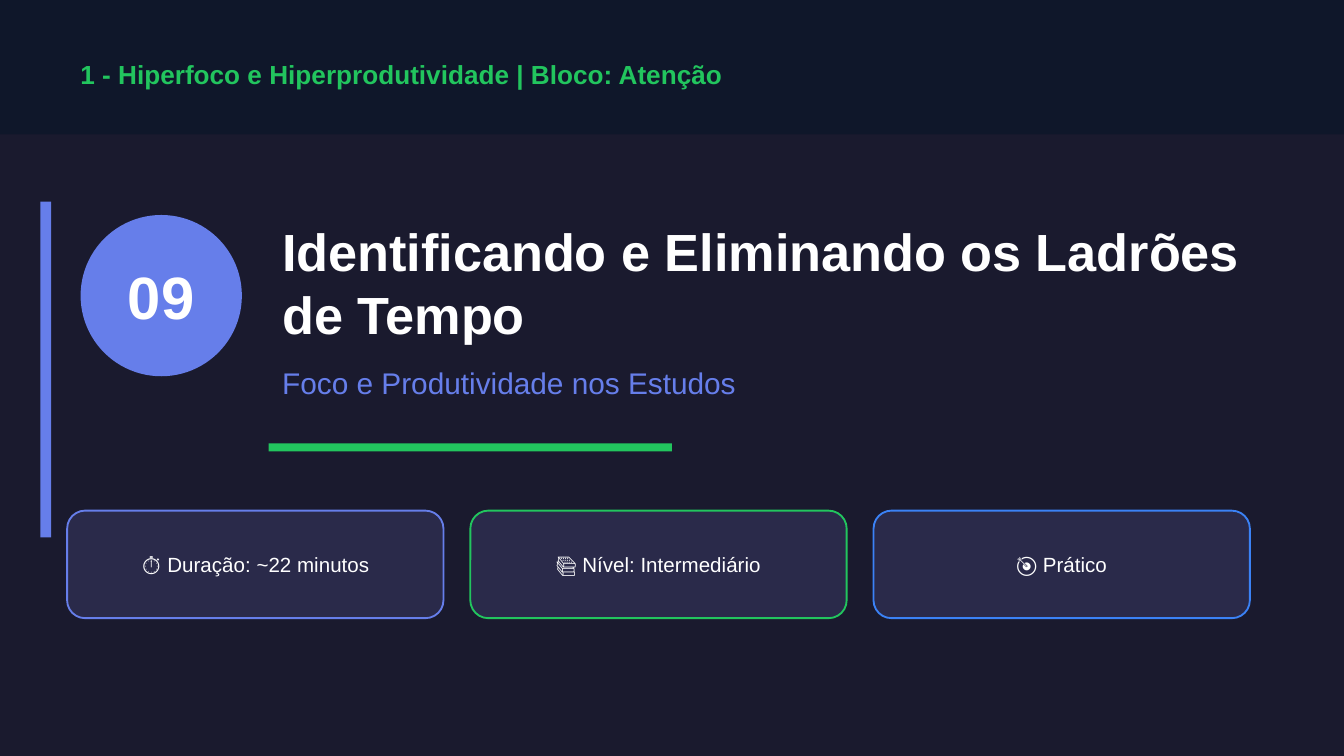
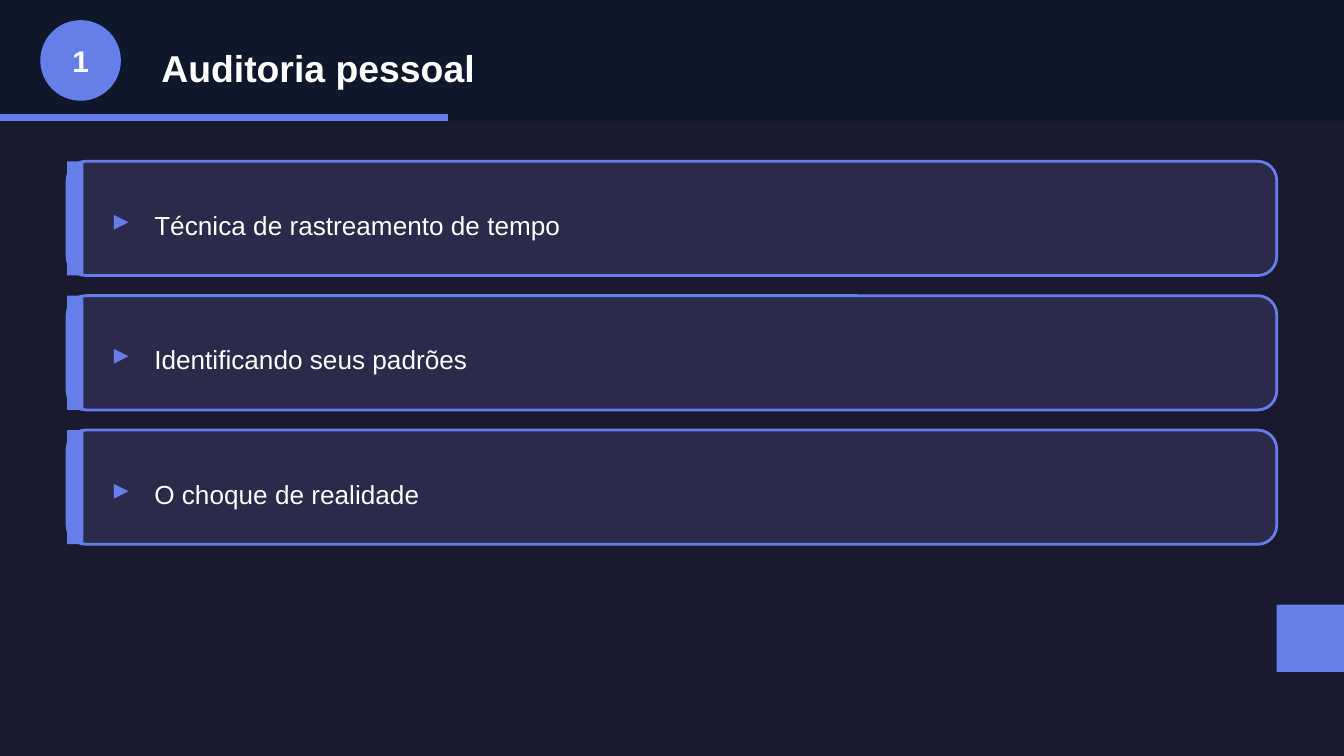
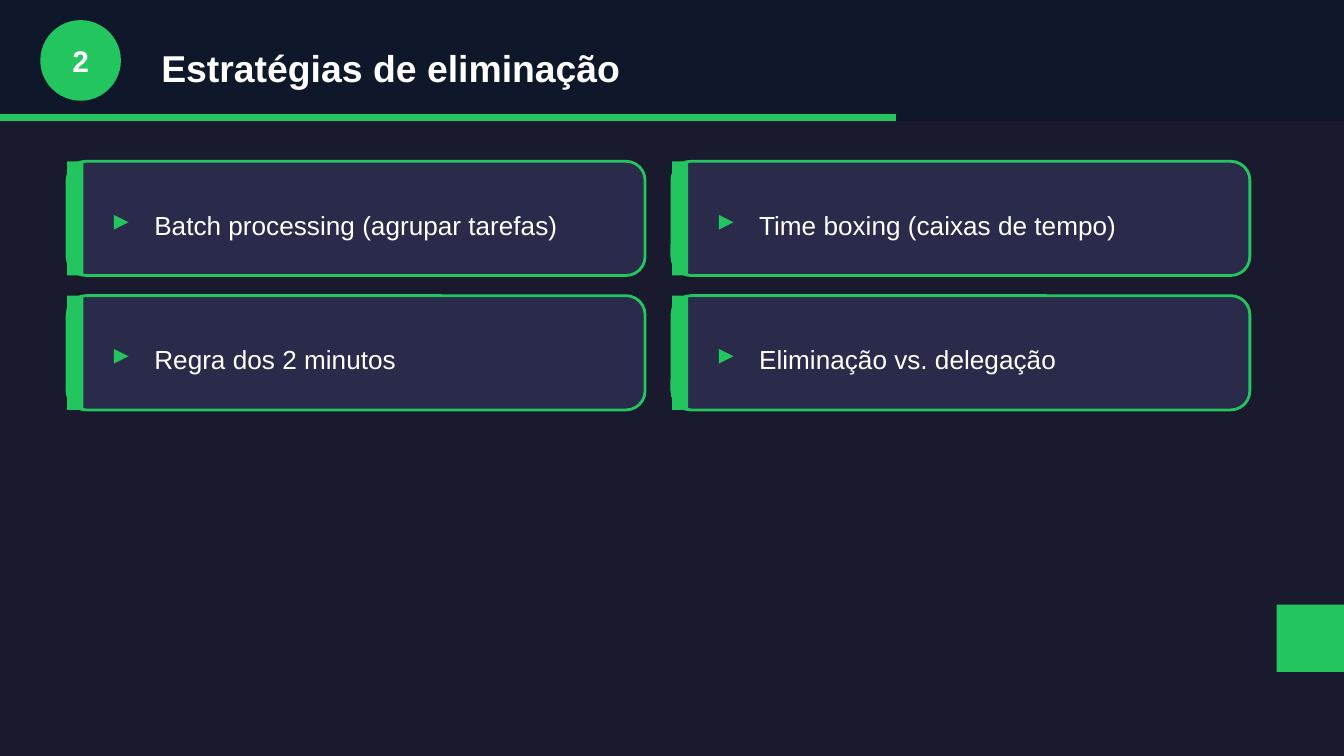
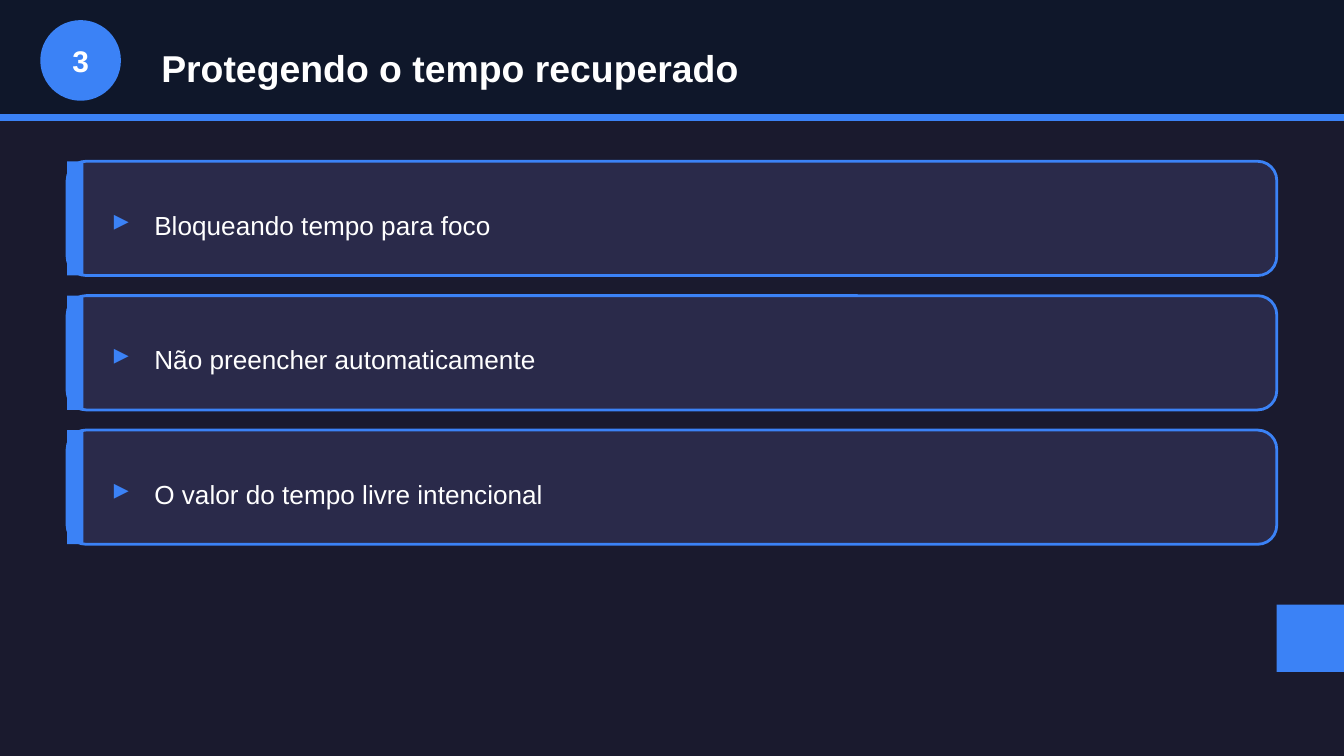
"""Build the four-slide lesson on time thieves."""
from dataclasses import dataclass
from typing import Any

import pptx
import pptx.dml.color
import pptx.enum.shapes
import pptx.enum.text
import pptx.util

Inches = pptx.util.Inches
RGB = pptx.dml.color.RGBColor
Shape = pptx.enum.shapes.MSO_SHAPE
Align = pptx.enum.text.PP_ALIGN

NIGHT = RGB(0x1A, 0x1A, 0x2E)
NAVY = RGB(0x0F, 0x17, 0x2A)
PANEL = RGB(0x2A, 0x2A, 0x4A)
WHITE = RGB(0xFF, 0xFF, 0xFF)
VIOLET = RGB(0x66, 0x7E, 0xEA)
GREEN = RGB(0x22, 0xC5, 0x5E)
BLUE = RGB(0x3B, 0x82, 0xF6)

FONT = "Arial"
WIDE = 10
COVER, TOPIC = 0, 5


@dataclass(frozen=True)
class Box:
    left: float
    top: float
    width: float
    height: float

    def size(self) -> tuple:
        return tuple(map(Inches, (self.left, self.top, self.width, self.height)))


@dataclass(frozen=True)
class Badge:
    text: str
    hue: RGB


@dataclass(frozen=True)
class Topic:
    title: str
    hue: RGB
    items: tuple[str, ...]
    cols: int = 1


BADGES = (
    Badge("⏱ Duração: ~22 minutos", VIOLET),
    Badge("📚 Nível: Intermediário", GREEN),
    Badge("🎯 Prático", BLUE),
)

TOPICS = (
    Topic("Auditoria pessoal", VIOLET, (
        "Técnica de rastreamento de tempo",
        "Identificando seus padrões",
        "O choque de realidade",
    )),
    Topic("Estratégias de eliminação", GREEN, (
        "Batch processing (agrupar tarefas)",
        "Time boxing (caixas de tempo)",
        "Regra dos 2 minutos",
        "Eliminação vs. delegação",
    ), cols=2),
    Topic("Protegendo o tempo recuperado", BLUE, (
        "Bloqueando tempo para foco",
        "Não preencher automaticamente",
        "O valor do tempo livre intencional",
    )),
)


def draw(slide: Any, kind: Any, box: Box, fill: RGB,
         line: RGB | None = None, weight: float = 1) -> None:
    shape = slide.shapes.add_shape(kind, *box.size())
    shape.shadow.inherit = False
    shape.fill.solid()
    shape.fill.fore_color.rgb = fill
    if line is None:
        shape.line.fill.background()
    else:
        shape.line.color.rgb = line
        shape.line.width = pptx.util.Pt(weight)


def write(slide: Any, text: str, box: Box, *, size: float, hue: RGB = WHITE,
          bold: bool = False, align: Any = Align.LEFT, holder: Any = None) -> None:
    if holder is None:
        holder = slide.shapes.add_textbox(*box.size())
    else:
        holder.left, holder.top, holder.width, holder.height = box.size()
        holder.element.getparent().append(holder.element)
    frame = holder.text_frame
    frame.text = text
    frame.word_wrap = True
    frame.auto_size = pptx.enum.text.MSO_AUTO_SIZE.NONE
    frame.vertical_anchor = pptx.enum.text.MSO_ANCHOR.MIDDLE
    para = frame.paragraphs[0]
    para.alignment = align
    para.space_before = pptx.util.Pt(0)
    font = para.runs[0].font
    font.name, font.size, font.bold = FONT, pptx.util.Pt(size), bold
    font.color.rgb = hue


def start(deck: Any, layout: int, band: float) -> Any:
    slide = deck.slides.add_slide(deck.slide_layouts[layout])
    draw(slide, Shape.RECTANGLE, Box(0, 0, WIDE, band), NAVY)
    return slide


def cover(deck: Any) -> None:
    slide = start(deck, COVER, 1)
    write(slide, "1 - Hiperfoco e Hiperprodutividade | Bloco: Atenção",
          Box(0.5, 0.35, 9, 0.4), size=14, hue=GREEN, bold=True)
    draw(slide, Shape.RECTANGLE, Box(0.3, 1.5, 0.08, 2.5), VIOLET)
    draw(slide, Shape.OVAL, Box(0.6, 1.6, 1.2, 1.2), VIOLET)
    write(slide, "09", Box(0.6, 1.85, 1.2, 0.7), size=32, bold=True, align=Align.CENTER)
    write(slide, "Identificando e Eliminando os Ladrões de Tempo", Box(2, 1.6, 7.5, 1),
          size=28, bold=True, holder=slide.shapes.title)
    write(slide, "Foco e Produtividade nos Estudos", Box(2, 2.6, 7.5, 0.5),
          size=16, hue=VIOLET, holder=slide.placeholders[1])
    draw(slide, Shape.RECTANGLE, Box(2, 3.3, 3, 0.06), GREEN)
    for index, badge in enumerate(BADGES):
        left = 0.5 + 3 * index
        draw(slide, Shape.ROUNDED_RECTANGLE, Box(left, 3.8, 2.8, 0.8), PANEL, badge.hue)
        write(slide, badge.text, Box(left, 3.95, 2.8, 0.5), size=11, align=Align.CENTER)


def card(slide: Any, text: str, box: Box, hue: RGB) -> None:
    draw(slide, Shape.ROUNDED_RECTANGLE, box, PANEL, hue, 1.5)
    draw(slide, Shape.RECTANGLE, Box(box.left, box.top, 0.12, box.height), hue)
    top = box.top + 0.25
    write(slide, "▸", Box(box.left + 0.25, top, 0.3, 0.35), size=16, hue=hue, bold=True)
    write(slide, text, Box(box.left + 0.55, top, box.width - 0.8, 0.45), size=14)


def lesson(deck: Any, number: int, topic: Topic) -> None:
    slide = start(deck, TOPIC, 0.9)
    done = WIDE * number / len(TOPICS)
    draw(slide, Shape.RECTANGLE, Box(0, 0.85, done, 0.05), topic.hue)
    draw(slide, Shape.OVAL, Box(0.3, 0.15, 0.6, 0.6), topic.hue)
    write(slide, str(number), Box(0.3, 0.25, 0.6, 0.4), size=16, bold=True,
          align=Align.CENTER)
    write(slide, topic.title, Box(1.1, 0.25, 8.5, 0.5), size=20, bold=True,
          holder=slide.shapes.title)
    width = 9 if topic.cols == 1 else 4.3
    for index, item in enumerate(topic.items):
        row, col = divmod(index, topic.cols)
        card(slide, item, Box(0.5 + 4.5 * col, 1.2 + row, width, 0.85), topic.hue)
    draw(slide, Shape.RECTANGLE, Box(9.5, 4.5, 0.5, 0.5), topic.hue)


def main() -> None:
    deck = pptx.Presentation()
    deck.slide_width = Inches(WIDE)
    deck.slide_height = Inches(WIDE * 9 / 16)
    ground = deck.slide_master.background.fill
    ground.solid()
    ground.fore_color.rgb = NIGHT
    cover(deck)
    for number, topic in enumerate(TOPICS, 1):
        lesson(deck, number, topic)
    deck.save("out.pptx")


if __name__ == "__main__":
    main()
